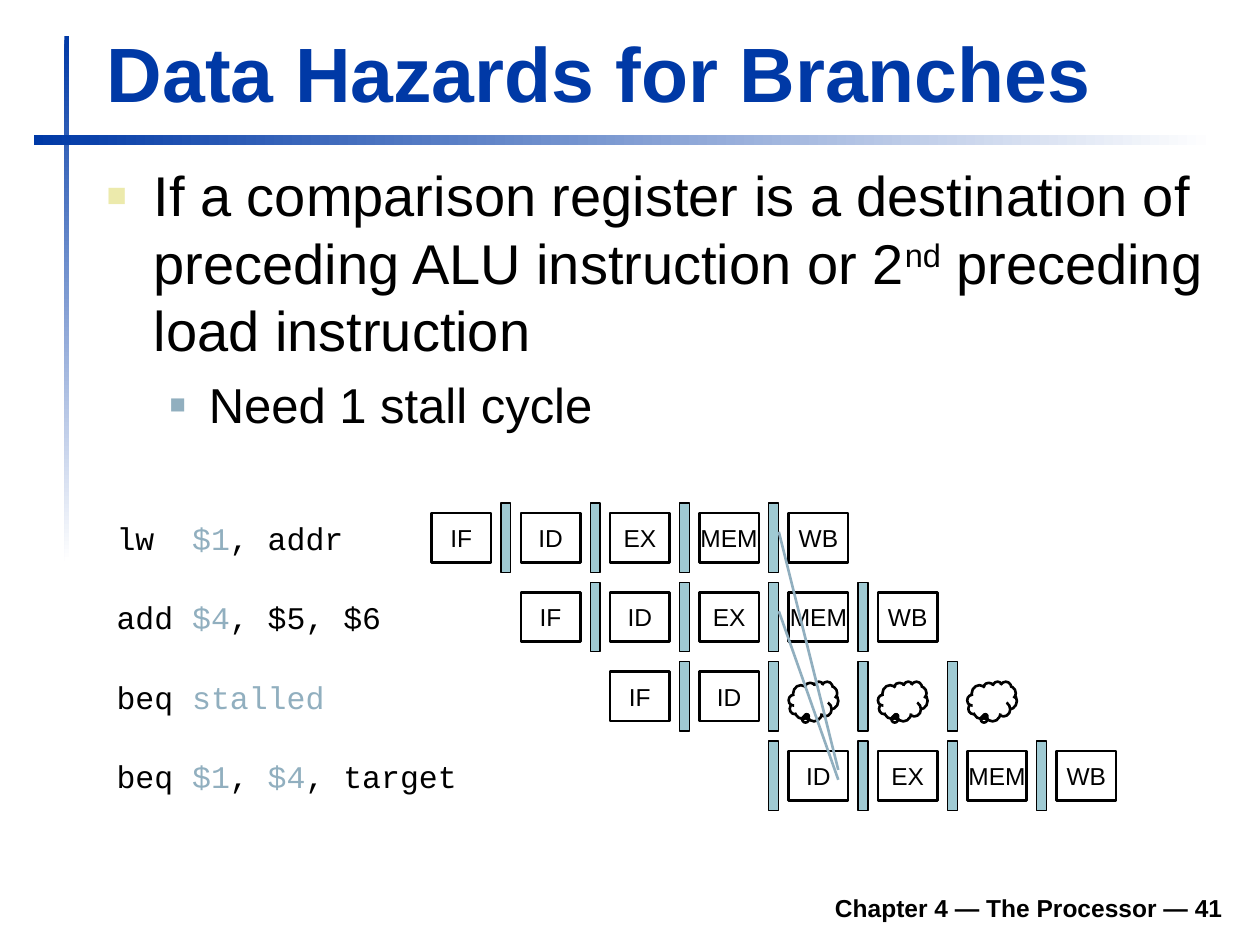
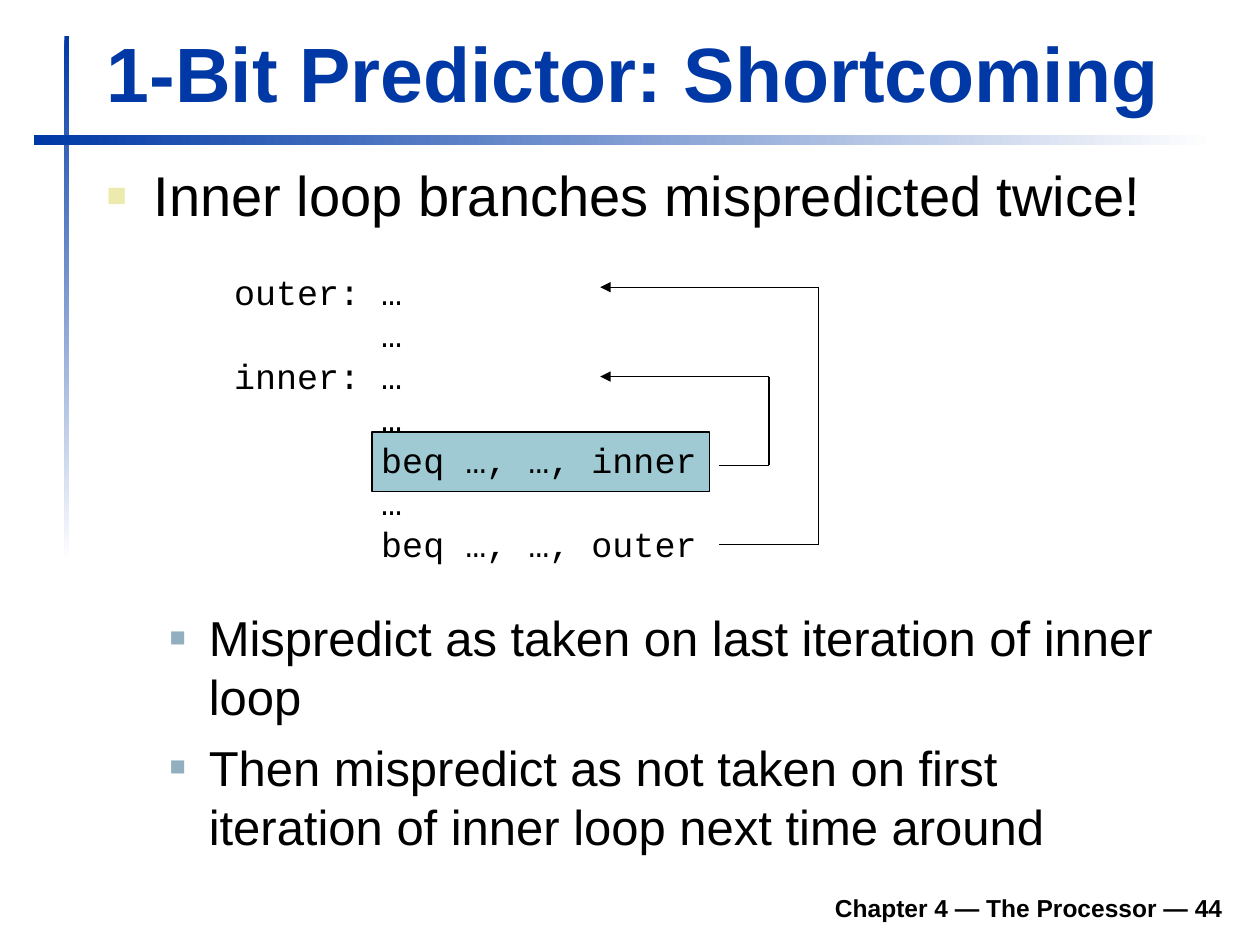
from lxml import etree
from pptx import Presentation
from pptx.dml.color import RGBColor
from pptx.enum.shapes import MSO_CONNECTOR as CONN, MSO_SHAPE as SHAPE
from pptx.enum.text import MSO_ANCHOR as ANCHOR, MSO_AUTO_SIZE as AUTO, PP_ALIGN as ALIGN
from pptx.oxml.ns import qn
from pptx.util import Cm, Pt

BLUE, TEAL, STEEL, CREAM = "0039A6", "9FCAD3", "91AFBF", "ECEAAC"
BLACK, WHITE = "000000", "FFFFFF"
BULLETS = {
    1: dict(left=0.95, hang=0.95, color=CREAM, pct=60, before=8),
    2: dict(left=2.06, hang=0.79, color=STEEL, pct=55, before=7),
}


def rgb(color):
    return RGBColor.from_string(color)


def write(tf, paras, size, face="Arial", bold=False, color=BLACK,
          align=ALIGN.LEFT, anchor=ANCHOR.TOP, wrap=True):
    for k, v in dict(word_wrap=wrap, auto_size=AUTO.NONE, vertical_anchor=anchor).items():
        setattr(tf, k, v)
    for i, (bullet, runs) in enumerate(paras):
        p = tf.add_paragraph() if i else tf.paragraphs[0]
        p.alignment = align
        if bullet:
            b = BULLETS[bullet]
            pPr = p._p.get_or_add_pPr()
            pPr.set("marL", str(Cm(b["left"])))
            pPr.set("indent", str(-Cm(b["hang"])))
            clr = etree.SubElement(pPr, qn("a:buClr"))
            etree.SubElement(clr, qn("a:srgbClr"), val=b["color"])
            etree.SubElement(pPr, qn("a:buSzPct"), val=str(b["pct"] * 1000))
            etree.SubElement(pPr, qn("a:buFont"), typeface="Arial")
            etree.SubElement(pPr, qn("a:buChar"), char="■")
            p.space_before = Pt(b["before"] if i else 0)
        for text, *style in runs:
            r = p.add_run()
            r.text = text
            for k, v in dict(name=face, size=Pt(size[bullet] if bullet else size), bold=bold).items():
                setattr(r.font, k, v)
            r.font.color.rgb = rgb(style[0] if style else color)
            if style[1:]:
                r.font._element.set("baseline", str(style[1] * 1000))


prs = Presentation()
prs.slide_width, prs.slide_height = Cm(25.4), Cm(19.05)
BODY = {1: 32, 2: 28}

slides = []
for title, number in [("Data Hazards for Branches", 41), ("1-Bit Predictor: Shortcoming", 44)]:
    s = prs.slides.add_slide(prs.slide_layouts[5])
    slides.append(s)
    for x, y, w, h, angle in [(1.3, 0.72, 0.1, 10.6, 270), (0.69, 2.72, 23.8, 0.2, 0)]:
        sp = s.shapes.add_shape(SHAPE.RECTANGLE, Cm(x), Cm(y), Cm(w), Cm(h))
        sp.shadow.inherit = False
        sp.line.fill.background()
        sp.fill.gradient()
        sp.fill.gradient_angle = angle
        for stop, color, place in zip(sp.fill.gradient_stops, (BLUE, WHITE), (0, 1)):
            stop.color.rgb = rgb(color)
            stop.position = place
    sp = s.shapes.title
    sp.left, sp.top, sp.width, sp.height = Cm(1.9), Cm(0.4), Cm(22.95), Cm(2.1)
    write(sp.text_frame, [(0, [(title,)])], 44, bold=True, color=BLUE, anchor=ANCHOR.BOTTOM)
    sp = s.shapes.add_textbox(Cm(4.7), Cm(17.73), Cm(20.2), Cm(1))
    write(sp.text_frame, [(0, [(f"Chapter 4 — The Processor — {number}",)])], 14,
          bold=True, align=ALIGN.RIGHT, anchor=ANCHOR.BOTTOM)

hazards, predictor = slides

sp = hazards.shapes.add_textbox(Cm(1.9), Cm(3.12), Cm(22.95), Cm(6.6))
write(sp.text_frame, [
    (1, [("If a comparison register is a destination of preceding ALU instruction or 2",),
         ("nd", BLACK, 30), (" preceding load instruction",)]),
    (2, [("Need 1 stall cycle",)]),
], BODY)

STAGES = ["IF", "ID", "EX", "MEM", "WB"]
pipeline = [
    ([("lw  ",), ("$1", STEEL), (", addr",)], STAGES),
    ([("add ",), ("$4", STEEL), (", $5, $6",)], STAGES),
    ([("beq ",), ("stalled", STEEL)], ["IF", "ID", "stall", "stall", "stall"]),
    ([("beq ",), ("$1", STEEL), (", ",), ("$4", STEEL), (", target",)], [None] + STAGES[1:]),
]
LEFT, TOP, COL, ROW = 8.7, 10.34, 1.8, 1.6
for row, (code, stages) in enumerate(pipeline):
    y = TOP + ROW * row
    sp = hazards.shapes.add_textbox(Cm(2.1), Cm(y), Cm(7.6), Cm(1))
    write(sp.text_frame, [(0, code)], 18, "Courier New")
    for col, stage in enumerate(stages, row):
        x = LEFT + COL * col
        parts = []
        if stage == "stall":
            parts.append((SHAPE.CLOUD_CALLOUT, x, y + 0.2, 1, 0.8, None, 1.5))
        elif stage:
            parts.append((SHAPE.RECTANGLE, x, y, 1.2, 1, None, 1.5))
        if col < row + 4:
            parts.append((SHAPE.RECTANGLE, x + 1.4, y - 0.2, 0.2, 1.4, TEAL, 0.75))
        for kind, px, py, w, h, fill, weight in parts:
            sp = hazards.shapes.add_shape(kind, Cm(px), Cm(py), Cm(w), Cm(h))
            sp.shadow.inherit = False
            sp.line.color.rgb = rgb(BLACK)
            sp.line.width = Pt(weight)
            if fill:
                sp.fill.solid()
                sp.fill.fore_color.rgb = rgb(fill)
            else:
                sp.fill.background()
            if kind == SHAPE.CLOUD_CALLOUT:
                sp.adjustments[0], sp.adjustments[1] = -0.13, 0.36
            elif not fill:
                write(sp.text_frame, [(0, [(stage,)])], 14, align=ALIGN.CENTER,
                      anchor=ANCHOR.MIDDLE, wrap=False)

sp = predictor.shapes.add_shape(SHAPE.RECTANGLE, Cm(7.5), Cm(8.71), Cm(6.8), Cm(1.2))
sp.shadow.inherit = False
sp.fill.solid()
sp.fill.fore_color.rgb = rgb(TEAL)
sp.line.color.rgb = rgb(BLACK)
sp.line.width = Pt(0.75)

sp = predictor.shapes.add_textbox(Cm(1.9), Cm(3.12), Cm(22.95), Cm(2))
write(sp.text_frame, [(1, [("Inner loop branches mispredicted twice!",)])], BODY)

loop_code = [
    "outer: …",
    "       …",
    "inner: …",
    "       …",
    "       beq …, …, inner",
    "       …",
    "       beq …, …, outer",
]
sp = predictor.shapes.add_textbox(Cm(4.47), Cm(5.33), Cm(9.86), Cm(6.2))
write(sp.text_frame, [(0, [(line,)]) for line in loop_code], 20, "Courier New")

sp = predictor.shapes.add_textbox(Cm(1.9), Cm(12.12), Cm(21.6), Cm(5.2))
write(sp.text_frame, [
    (2, [("Mispredict as taken on last iteration of inner loop",)]),
    (2, [("Then mispredict as not taken on first iteration of inner loop next time around",)]),
], BODY)

forwards = [(hazards, [(15.7, y), (16.9, end)], STEEL, 1.5, False)
            for y, end in [(10.72, 15.52), (12.32, 15.72)]]
branches = [(predictor, [(14.5, start), (x, start), (x, end), (12.1, end)], BLACK, 0.75, True)
            for x, start, end in [(15.5, 9.38, 7.59), (16.5, 10.98, 5.79)]]
for s, points, color, weight, arrow in forwards + branches:
    for (x1, y1), (x2, y2) in zip(points, points[1:]):
        c = s.shapes.add_connector(CONN.STRAIGHT, Cm(x1), Cm(y1), Cm(x2), Cm(y2))
        c.line.color.rgb = rgb(color)
        c.line.width = Pt(weight)
        etree.SubElement(c._element.spPr, qn("a:effectLst"))
    if arrow:
        etree.SubElement(c.line._get_or_add_ln(), qn("a:tailEnd"), type="triangle")

prs.save("out.pptx")
